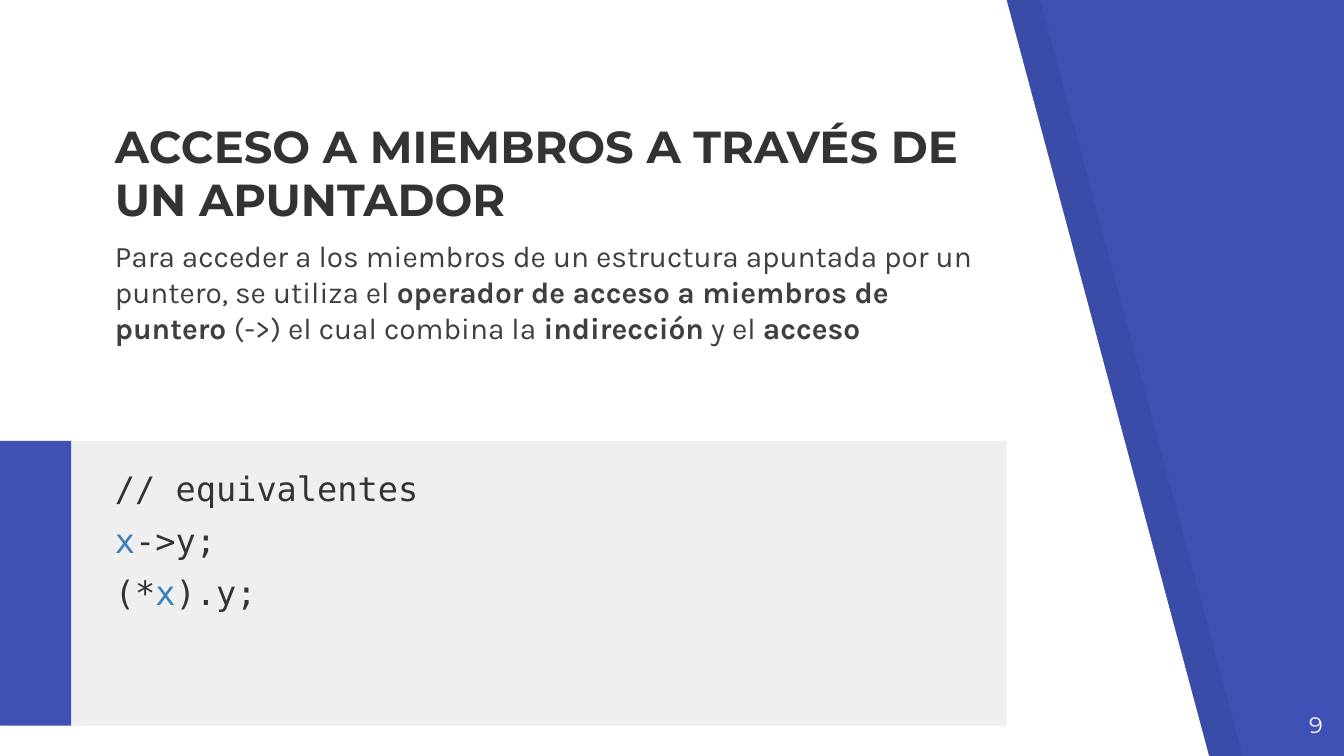
from lxml import etree
from pptx import Presentation
from pptx.dml.color import RGBColor
from pptx.enum.shapes import MSO_SHAPE
from pptx.enum.text import MSO_ANCHOR, MSO_AUTO_SIZE, PP_ALIGN
from pptx.oxml.ns import qn
from pptx.util import Pt

RECTANGLE = MSO_SHAPE.RECTANGLE
TOP, BOTTOM = MSO_ANCHOR.TOP, MSO_ANCHOR.BOTTOM
LEFT, RIGHT = PP_ALIGN.LEFT, PP_ALIGN.RIGHT
NO_FIT = MSO_AUTO_SIZE.NONE

PX = 4572
INSET = 20 * PX
TWO_CONTENT = 3
COLORS = {
    "blue": "3F51B5",
    "white": "FFFFFF",
    "shade": "000000",
    "panel": "EFEFEF",
    "heading": "333333",
    "body": "3F3F3F",
    "variable": "3A81BA",
}


def rgb(name):
    return RGBColor.from_string(COLORS[name])


def paint(shape, color, opacity=100):
    shape.shadow.inherit = False
    shape.fill.solid()
    shape.fill.fore_color.rgb = rgb(color)
    shape.line.fill.background()
    if opacity < 100:
        tint = shape.element.spPr.find(qn("a:solidFill"))[0]
        etree.SubElement(tint, qn("a:alpha"), val=str(opacity * 1000))


def write(box, area, paragraphs, font, size, color, bold=False,
          anchor=TOP, align=LEFT, before=0):
    box.left, box.top, box.width, box.height = (value * PX for value in area)
    frame = box.text_frame
    frame.word_wrap = True
    frame.auto_size = NO_FIT
    frame.vertical_anchor = anchor
    frame.margin_left = frame.margin_right = INSET
    frame.margin_top = frame.margin_bottom = INSET
    for number, spans in enumerate(paragraphs):
        para = frame.add_paragraph() if number else frame.paragraphs[0]
        para.alignment = align
        para.space_before = Pt(before)
        para.line_spacing = 1.0
        properties = para._p.get_or_add_pPr()
        properties.set("marL", "0")
        properties.set("indent", "0")
        etree.SubElement(properties, qn("a:buNone"))
        for text, changes in spans:
            span = para.add_run()
            span.text = text
            span.font.name = font
            span.font.size = Pt(size)
            span.font.bold = changes.get("bold", bold)
            span.font.color.rgb = rgb(changes.get("color", color))
    box.element.getparent().append(box.element)


def add_slanted_sheet(page, left, top, width, height, color, opacity=100):
    slant, lip = 302, 2
    builder = page.shapes.build_freeform(left, top, scale=PX)
    builder.add_line_segments([
        (left, top + height),
        (left + width, top + height),
        (left + width - slant, top + lip),
    ])
    paint(builder.convert_to_shape(), color, opacity)


def add_backdrop(page):
    page.background.fill.solid()
    page.background.fill.fore_color.rgb = rgb("blue")
    add_slanted_sheet(page, 50, -2, 1800, 1130, "shade", opacity=7)
    add_slanted_sheet(page, 0, -2, 1800, 1130, "white")


def add_code_panel(page, box, left, top, width, height, lines):
    panel = page.shapes.add_group_shape()
    for offset, breadth, color in ((6, width - 6, "panel"), (0, 106, "blue")):
        bar = panel.shapes.add_shape(
            RECTANGLE, (left + offset) * PX, top * PX, breadth * PX, height * PX)
        paint(bar, color)
    write(box, (left + 151, top + 21, width - 152, height - 62), lines,
          "DejaVu Sans Mono", 18, "heading", before=6)


def add_explanation(title, body, left, top, width, heading, spans):
    write(title, (left, top, width, 202), [[(heading, {})]],
          "Montserrat", 24, "heading", bold=True, anchor=BOTTOM)
    write(body, (left, top + 180, width, 192), [spans],
          "Karla", 16, "body", before=6)


def add_page_number(page, left, top, number):
    box = page.shapes.add_textbox(0, 0, 0, 0)
    write(box, (left, top, 120, 86), [[(number, {})]],
          "Montserrat", 12, "white", align=RIGHT)


def main():
    deck = Presentation()
    deck.slide_width, deck.slide_height = 2000 * PX, 1125 * PX
    page = deck.slides.add_slide(deck.slide_layouts[TWO_CONTENT])
    title, body, code = page.placeholders
    strong, variable = {"bold": True}, {"color": "variable"}

    add_backdrop(page)
    add_code_panel(page, code, 0, 656, 1498, 424, [
        [("// equivalentes", {})],
        [("x", variable), ("->y;", {})],
        [("(*", {}), ("x", variable), (").y;", {})],
    ])
    add_explanation(
        title, body, 151, 154, 1346, "ACCESO A MIEMBROS A TRAVÉS DE UN APUNTADOR", [
            ("Para acceder a los miembros de un estructura apuntada por un "
             "puntero, se utiliza el ", {}),
            ("operador de acceso a miembros de puntero ", strong),
            ("(->) el cual combina la ", {}),
            ("indirección", strong),
            (" y el ", {}),
            ("acceso", strong),
        ])
    add_page_number(page, 1868, 1039, "9")
    deck.save("out.pptx")


if __name__ == "__main__":
    main()
